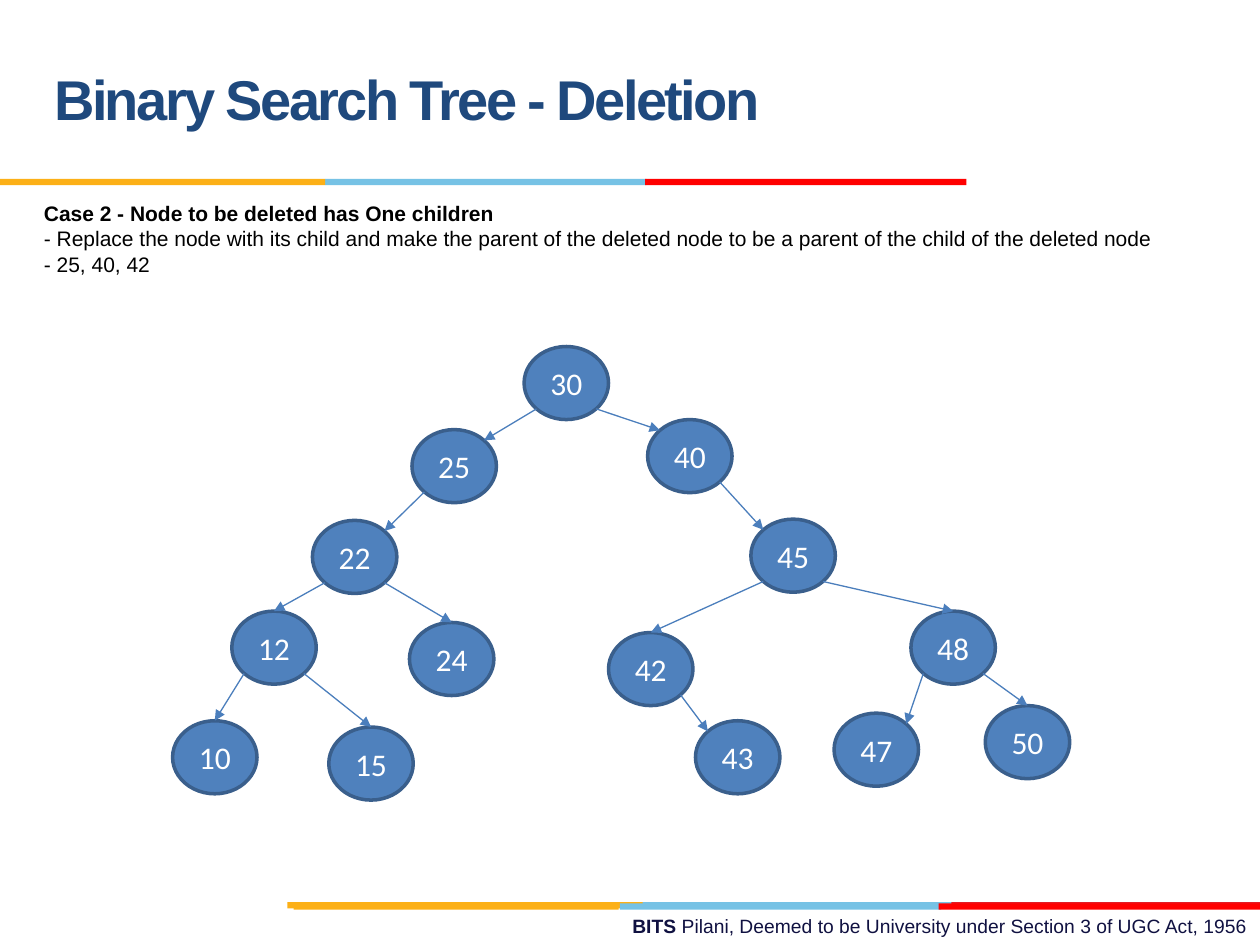
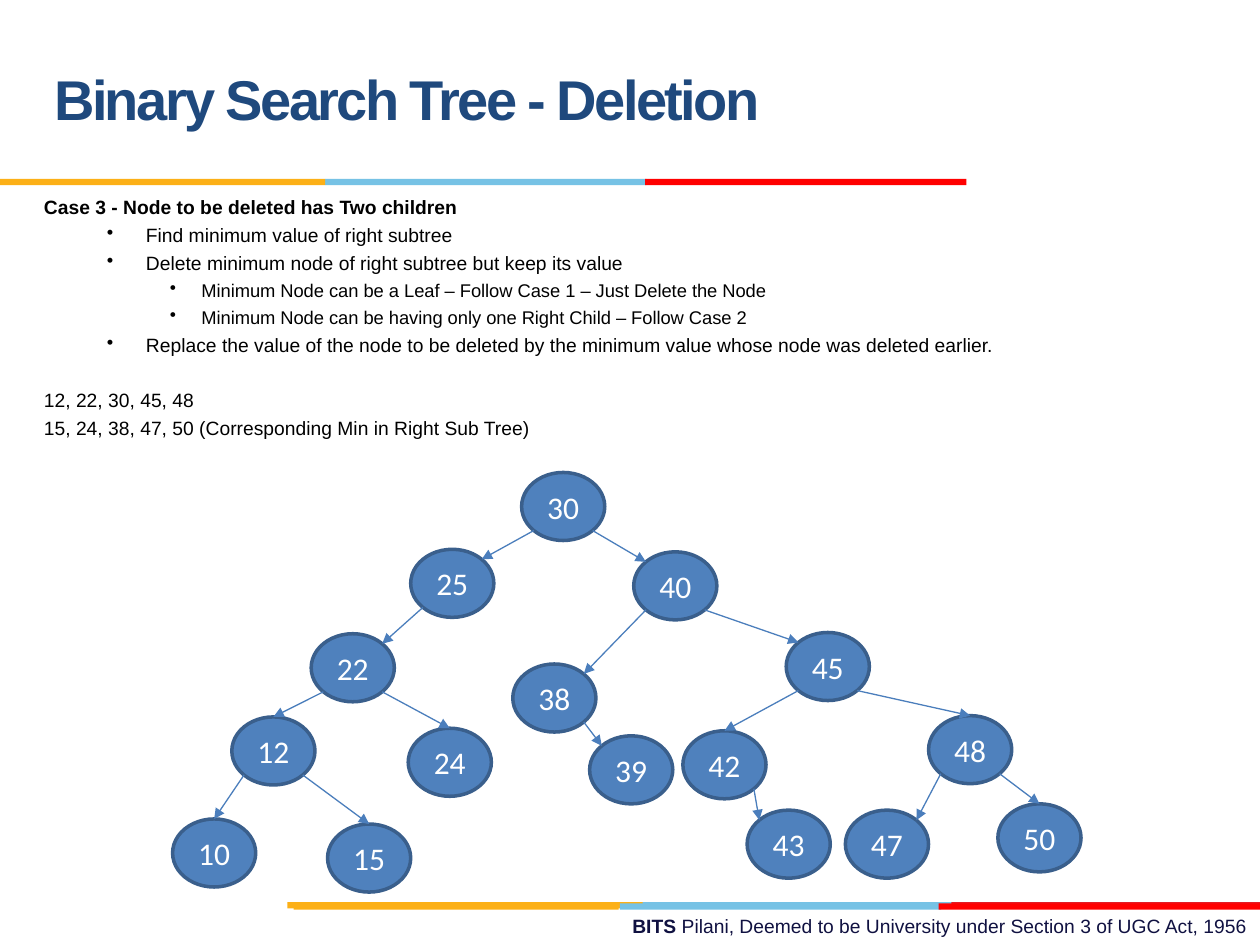
from pptx import Presentation
from pptx.dml.color import RGBColor
from pptx.enum.shapes import MSO_CONNECTOR, MSO_SHAPE
from pptx.enum.text import MSO_ANCHOR, MSO_AUTO_SIZE, PP_ALIGN
from pptx.oxml.ns import qn
from pptx.util import Inches, Pt

STRAIGHT = MSO_CONNECTOR.STRAIGHT
RECTANGLE, NODE = MSO_SHAPE.RECTANGLE, MSO_SHAPE.FLOWCHART_CONNECTOR
MIDDLE, NO_FIT = MSO_ANCHOR.MIDDLE, MSO_AUTO_SIZE.NONE
LEFT, CENTER, RIGHT = PP_ALIGN.LEFT, PP_ALIGN.CENTER, PP_ALIGN.RIGHT

YELLOW, SKY, RED, DARK_RED = "FCB017", "76C2E5", "FF0000", "E31C24"
NAVY, INK, BLACK, WHITE = "1F497D", "101141", "000000", "FFFFFF"
NODE_FILL, NODE_LINE, EDGE_LINE = "4F81BD", "3A5F8C", "4B7EBC"

BAND_HEIGHT = 0.05
BANDS = [
    (5.06, 7.16, 2.55, SKY), (7.55, 7.16, 2.45, DARK_RED), (2.28, 7.16, 2.82, YELLOW),
    (4.92, 7.17, 2.55, SKY), (2.33, 7.17, 2.58, YELLOW), (7.45, 7.17, 2.55, RED),
    (2.58, 1.42, 2.55, SKY), (0, 1.42, 2.58, YELLOW), (5.12, 1.42, 2.55, RED),
]
TITLE = "Binary Search Tree - Deletion"
FOOTER = ("BITS ", "Pilani, Deemed to be University under Section 3 of UGC Act, 1956")

CHILDREN = {
    30: (25, 40), 25: (22,), 40: (38, 45), 22: (12, 24), 38: (39,), 45: (42, 48),
    12: (10, 15), 42: (43,), 48: (47, 50),
}
ENTERED_AT_TOP = {12, 24, 42, 48, 10, 15, 50}
DIAGONAL = 0.5 ** 0.5 / 2

ONE_CHILD_TREE = {
    30: (4.16, 2.75), 25: (3.27, 3.41), 40: (5.14, 3.33), 22: (2.48, 4.13),
    45: (5.96, 4.12), 12: (1.84, 4.85), 24: (3.25, 4.94), 42: (4.83, 5.02),
    48: (7.23, 4.85), 10: (1.37, 5.72), 15: (2.61, 5.77), 43: (5.52, 5.72),
    47: (6.62, 5.66), 50: (7.82, 5.6),
}
TWO_CHILDREN_TREE = {
    30: (4.14, 3.75), 25: (3.26, 4.36), 40: (5.03, 4.38), 22: (2.47, 5.03),
    38: (4.07, 5.27), 45: (6.24, 5.02), 12: (1.84, 5.69), 24: (3.24, 5.78),
    39: (4.68, 5.84), 42: (5.42, 5.8), 48: (7.37, 5.68), 10: (1.37, 6.5),
    15: (2.6, 6.54), 43: (5.93, 6.43), 47: (6.71, 6.43), 50: (7.92, 6.38),
}

ONE_CHILD_TEXT = [
    (0, 12, 0, "Case 2 - Node to be deleted has One children"),
    (0, 12, 3, "- Replace the node with its child and make the parent of the deleted node"
               " to be a parent of the child of the deleted node"),
    (0, 12, 3, "- 25, 40, 42"),
]
TWO_CHILDREN_TEXT = [
    (0, 11, 0, "Case 3 - Node to be deleted has Two children"),
    (1, 11, 2.8, "Find minimum value of right subtree"),
    (1, 11, 2.8, "Delete minimum node of right subtree but keep its value"),
    (2, 10.5, 2.8, "Minimum Node can be a Leaf – Follow Case 1 – Just Delete the Node"),
    (2, 10.5, 2.8, "Minimum Node can be having only one Right Child – Follow Case 2"),
    (1, 11, 2.8, "Replace the value of the node to be deleted by the minimum value"
                 " whose node was deleted earlier."),
    (0, 11, 18.2, "12, 22, 30, 45, 48"),
    (0, 11, 2.8, "15, 24, 38, 47, 50 (Corresponding Min in Right Sub Tree)"),
]
BULLET_INDENTS = {1: (0.81, -0.31), 2: (1.25, -0.25)}


def color(value):
    """Turn a hex string into a colour."""
    return RGBColor.from_string(value)


def style_font(font, size, value, name="Arial", bold=False):
    """Set the look of a font."""
    font.name, font.size, font.bold = name, Pt(size), bold
    font.color.rgb = color(value)


def add_solid(page, preset, left, top, width, height, fill):
    """Add a filled shape without line or shadow."""
    shape = page.shapes.add_shape(
        preset, Inches(left), Inches(top), Inches(width), Inches(height))
    shape.shadow.inherit = False
    shape.fill.solid()
    shape.fill.fore_color.rgb = color(fill)
    shape.line.fill.background()
    return shape


def add_text_box(page, left, top, width, height):
    """Add a wrapping text box and return its frame."""
    box = page.shapes.add_textbox(
        Inches(left), Inches(top), Inches(width), Inches(height))
    box.text_frame.word_wrap = True
    return box.text_frame


def add_title(page):
    """Fill and format the title placeholder."""
    title = page.shapes.title
    title.left, title.top = Inches(0.33), Inches(0.17)
    title.width, title.height = Inches(7.17), Inches(1.25)
    frame = title.text_frame
    frame.text = TITLE
    frame.vertical_anchor, frame.auto_size = MIDDLE, NO_FIT
    para = frame.paragraphs[0]
    para.alignment, para.line_spacing = LEFT, Pt(36)
    span = para.runs[0]
    style_font(span.font, 32, NAVY, bold=True)
    span.font._element.set("spc", "-150")


def add_footer(page):
    """Add the right-aligned university line."""
    para = add_text_box(page, 3.58, 7.21, 6.42, 0.29).paragraphs[0]
    para.alignment = RIGHT
    for index, words in enumerate(FOOTER):
        span = para.add_run()
        span.text = words
        style_font(span.font, 11, INK, bold=index == 0)


def add_page(deck):
    """Add a page with the shared footer, bands and title."""
    page = deck.slides.add_slide(deck.slide_layouts[5])
    add_footer(page)
    for left, top, width, fill in BANDS:
        add_solid(page, RECTANGLE, left, top, width, BAND_HEIGHT, fill)
    add_title(page)
    return page


def set_bullet(para, level):
    """Give a paragraph its level, hanging indent and bullet."""
    para.level = level
    margin, indent = BULLET_INDENTS[level]
    properties = para._p.get_or_add_pPr()
    properties.set("marL", str(Inches(margin)))
    properties.set("indent", str(Inches(indent)))
    bullet = properties.makeelement(qn("a:buChar"), {"char": "•"})
    properties.append(bullet)


def add_case_text(page, area, lines, line_spacing):
    """Write a bold case heading followed by its explanation."""
    frame = add_text_box(page, *area)
    for index, (level, size, space, words) in enumerate(lines):
        para = frame.add_paragraph() if index else frame.paragraphs[0]
        para.text = words
        para.line_spacing, para.space_before = line_spacing, Pt(space)
        if level:
            set_bullet(para, level)
        style_font(para.runs[0].font, size, BLACK, bold=index == 0)


def add_node(page, key, left, top, width, height):
    """Add one tree node showing its key."""
    node = add_solid(page, NODE, left, top, width, height, NODE_FILL)
    node.line.color.rgb = color(NODE_LINE)
    node.line.width = Pt(2)
    frame = node.text_frame
    frame.text = str(key)
    frame.vertical_anchor = MIDDLE
    frame.margin_left = frame.margin_right = frame.margin_top = frame.margin_bottom = 0
    frame.paragraphs[0].alignment = CENTER
    style_font(frame.paragraphs[0].runs[0].font, 18, WHITE, "Calibri")
    return node


def diagonal_point(node, side, vertical):
    """Find the point on a node's outline at 45 degrees; sides are -1 or 1."""
    x = node.left + node.width * (0.5 + side * DIAGONAL)
    y = node.top + node.height * (0.5 + vertical * DIAGONAL)
    return round(x), round(y)


def add_edge(page, parent, child, at_top):
    """Add an arrow from a parent to a child."""
    side = 1 if child.left > parent.left else -1
    start = diagonal_point(parent, side, 1)
    end = diagonal_point(child, -side, -1)
    edge = page.shapes.add_connector(STRAIGHT, *start, *end)
    if at_top:
        edge.end_connect(child, 0)
    edge.line.color.rgb = color(EDGE_LINE)
    edge.line.width = Pt(0.75)
    properties = edge._element.spPr
    line = properties.find(qn("a:ln"))
    line.append(line.makeelement(qn("a:tailEnd"), {"type": "triangle"}))
    properties.append(properties.makeelement(qn("a:effectLst"), {}))


def add_tree(page, places, width, height):
    """Draw the nodes of a tree and the edges between them."""
    nodes = {key: add_node(page, key, *place, width, height)
             for key, place in places.items()}
    for parent, children in CHILDREN.items():
        for child in children:
            if parent in nodes and child in nodes:
                add_edge(page, nodes[parent], nodes[child], child in ENTERED_AT_TOP)


def main():
    """Build and save the deck."""
    deck = Presentation()
    deck.slide_width, deck.slide_height = Inches(10), Inches(7.5)

    page = add_page(deck)
    add_case_text(page, (0.25, 1.58, 9.42, 0.67), ONE_CHILD_TEXT, 0.8)
    add_tree(page, ONE_CHILD_TREE, 0.67, 0.58)

    page = add_page(deck)
    add_case_text(page, (0.25, 1.5, 9.08, 1.93), TWO_CHILDREN_TEXT, 1.0)
    add_tree(page, TWO_CHILDREN_TREE, 0.66, 0.54)

    deck.save("out.pptx")


if __name__ == "__main__":
    main()
